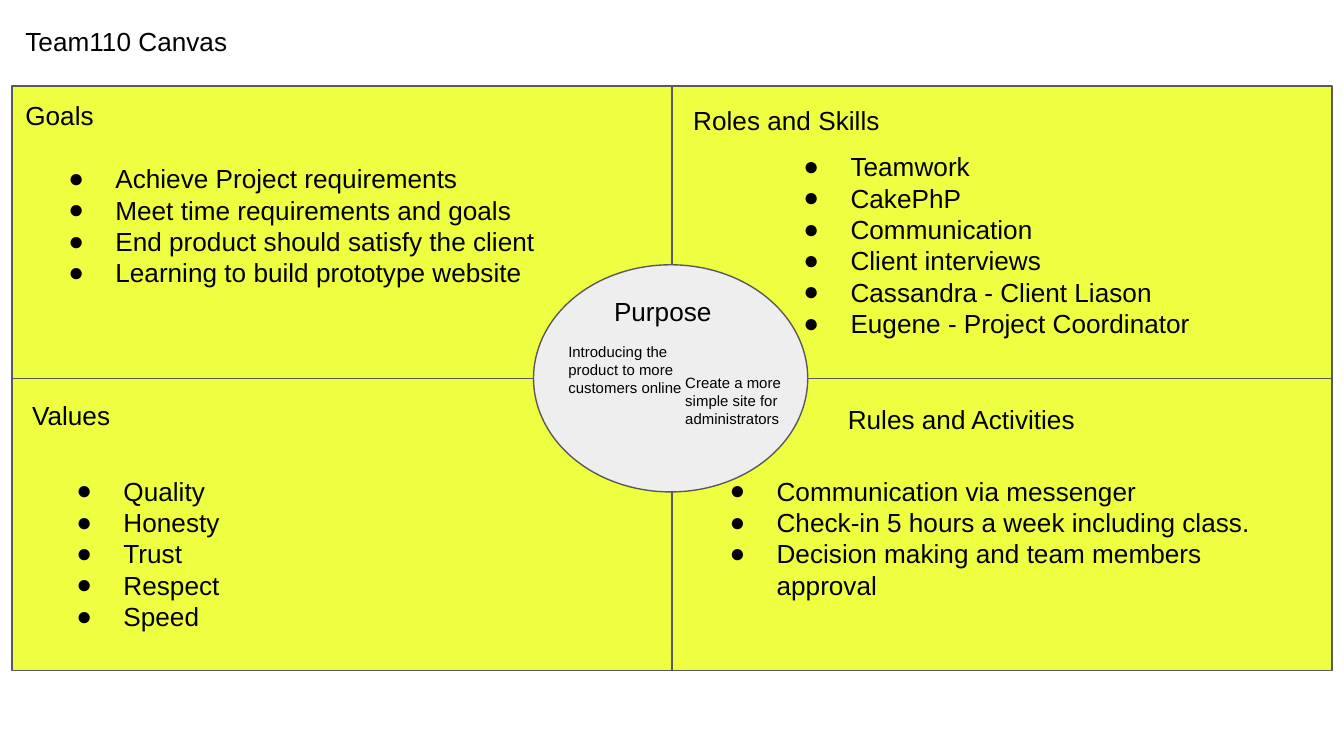
from lxml import etree
from pptx import Presentation
from pptx.dml.color import RGBColor
from pptx.enum import shapes, text
from pptx.oxml import ns
from pptx.util import Inches, Pt

BLACK = RGBColor(0, 0, 0)
LIME = RGBColor(0xEE, 0xFF, 0x41)
PALE = RGBColor(0xEE, 0xEE, 0xEE)
GREY = RGBColor(0x59, 0x59, 0x59)

GOALS = ["Achieve Project requirements", "Meet time requirements and goals",
         "End product should satisfy the client",
         "Learning to build prototype website"]
ROLES = ["Teamwork", "CakePhP", "Communication", "Client interviews",
         "Cassandra - Client Liason", "Eugene - Project Coordinator"]
VALUES = ["Quality", "Honesty", "Trust", "Respect", "Speed"]
RULES = ["Communication via messenger",
         "Check-in 5 hours a week including class.",
         "Decision making and team members approval"]


def bullet(para):
    """Give a paragraph a round black bullet with a hanging indent."""
    props = para._p.get_or_add_pPr()
    props.set("marL", str(Inches(0.5)))
    props.set("indent", str(Inches(-0.35)))
    tint = etree.SubElement(props, ns.qn("a:buClr"))
    etree.SubElement(tint, ns.qn("a:srgbClr"), val=str(BLACK))
    etree.SubElement(props, ns.qn("a:buFont"), typeface="Arial")
    etree.SubElement(props, ns.qn("a:buChar"), char="●")


def write(page, box, lines, size=14, listed=False):
    """Add a text box with one paragraph for each line."""
    frame = page.shapes.add_textbox(*map(Inches, box)).text_frame
    style = {"word_wrap": True, "auto_size": text.MSO_AUTO_SIZE.SHAPE_TO_FIT_TEXT}
    for side in ("left", "top", "right", "bottom"):
        style["margin_" + side] = Inches(0.1)
    for name, value in style.items():
        setattr(frame, name, value)
    for i, line in enumerate(lines):
        para = frame.add_paragraph() if i else frame.paragraphs[0]
        run = para.add_run()
        run.text = line
        run.font.name, run.font.size = "Arial", Pt(size)
        run.font.color.rgb = BLACK
        if listed:
            bullet(para)


def stroke(item):
    """Set the thin grey line of a shape or connector."""
    item.line.color.rgb = GREY
    item.line.width = Pt(0.75)


def panel(page, kind, box, fill):
    """Add a filled and outlined shape."""
    shape = page.shapes.add_shape(kind, *map(Inches, box))
    shape.shadow.inherit = False
    shape.fill.solid()
    shape.fill.fore_color.rgb = fill
    stroke(shape)
    return shape


def grid(page, box):
    """Draw the board and the two lines that quarter it."""
    board = panel(page, shapes.MSO_SHAPE.RECTANGLE, box, LIME)
    for start, end in ((0, 2), (1, 3)):
        rule = page.shapes.add_connector(shapes.MSO_CONNECTOR.STRAIGHT, 0, 0, 0, 0)
        rule.begin_connect(board, start)
        rule.end_connect(board, end)
        stroke(rule)
        etree.SubElement(rule._element.spPr, ns.qn("a:effectLst"))


def quarter(page, left, top, title, head, lines, body):
    """Place a heading and a bullet list relative to a quarter's corner."""
    for (x, y, w, h), words, listed in ((head, [title], False), (body, lines, True)):
        write(page, (left + x, top + y, w, h), words, listed=listed)


def purpose(page, left, top, width, height):
    """Draw the central oval with its heading and two notes."""
    panel(page, shapes.MSO_SHAPE.OVAL, (left, top, width, height), PALE)
    for x, y, h, words, size in (
            (0.5, 0.13, 0.44, "Purpose", 14),
            (0.16, 0.48, 0.74, "Introducing the product to more customers online", 8),
            (1.03, 0.71, 0.61, "Create a more simple site for administrators", 8)):
        write(page, (left + x, top + y, 1.05, h), [words], size)


def main():
    """Build the canvas slide."""
    deck = Presentation()
    deck.slide_width = Inches(10)
    deck.slide_height = deck.slide_width * 9 // 16
    page = deck.slides.add_slide(deck.slide_layouts[6])
    left, top, width, height = 0.09, 0.64, 9.82, 4.35
    midx, midy = left + width / 2, top + height / 2
    grid(page, (left, top, width, height))
    write(page, (0.09, 0.09, 2.18, 0.44), ["Team110 Canvas"])
    quarter(page, left, top, "Goals", (0, 0, 0.76, 0.44),
            GOALS, (0.17, 0.47, 4.49, 1.38))
    quarter(page, midx, top, "Roles and Skills", (0.06, 0.04, 1.8, 0.44),
            ROLES, (0.73, 0.38, 3.42, 1.85))
    quarter(page, left, midy, "Values", (0.05, 0.06, 1.11, 0.44),
            VALUES, (0.23, 0.62, 4.38, 1.38))
    quarter(page, midx, midy, "Rules and Activities", (1.21, 0.09, 2.46, 0.44),
            RULES, (0.18, 0.62, 4.38, 1.38))
    purpose(page, 3.97, 1.97, 2.04, 1.69)
    deck.save("out.pptx")


if __name__ == "__main__":
    main()
